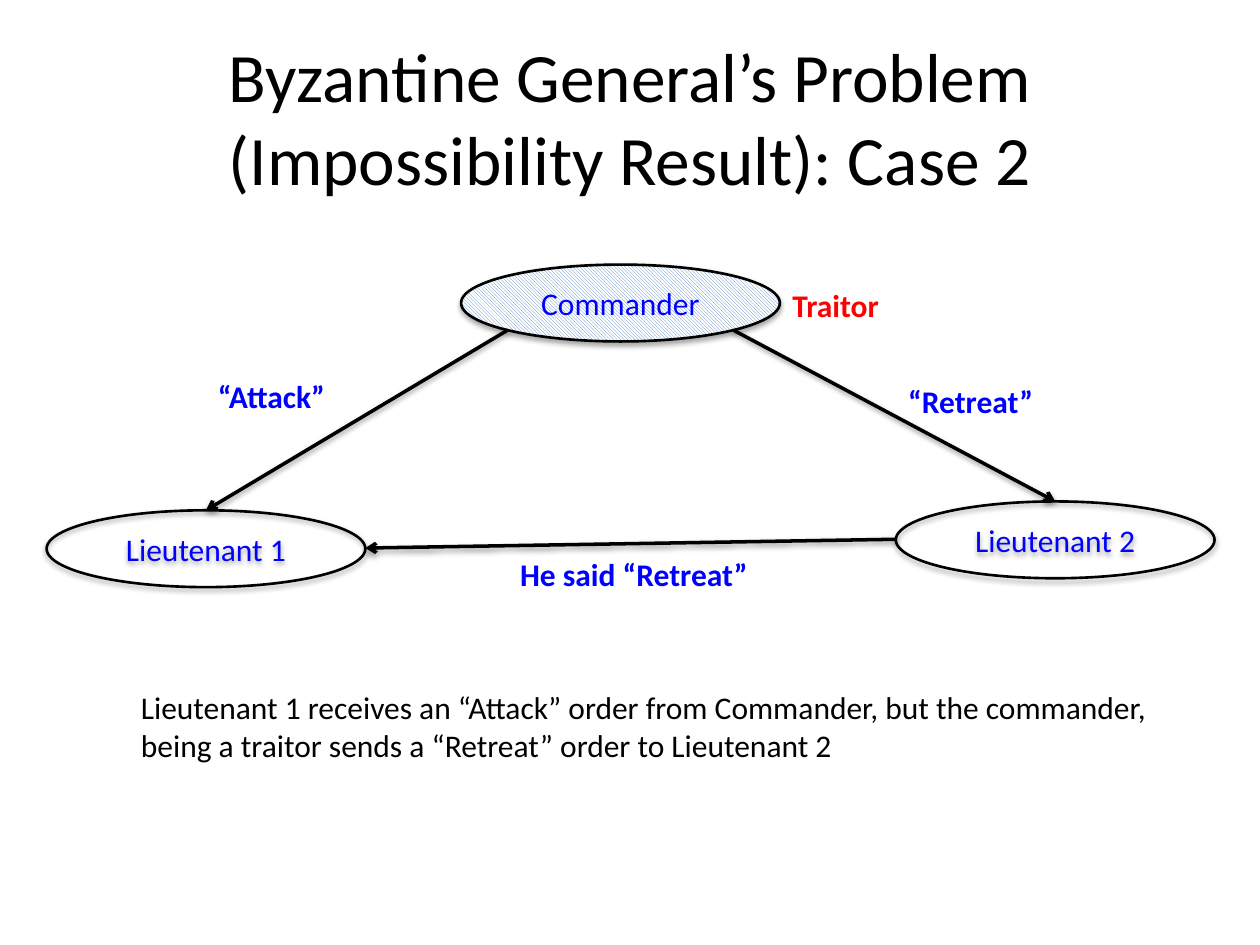
"""Build the Byzantine generals slide showing a traitorous commander."""
from dataclasses import dataclass
from typing import Any, Optional

import lxml.etree
import pptx
import pptx.dml.color
import pptx.enum.dml
import pptx.enum.shapes
import pptx.enum.text
import pptx.oxml.ns
import pptx.util

Inches = pptx.util.Inches
Pt = pptx.util.Pt
RGBColor = pptx.dml.color.RGBColor
Align = pptx.enum.text.PP_ALIGN
Anchor = pptx.enum.text.MSO_ANCHOR
qn = pptx.oxml.ns.qn

BLACK = RGBColor(0x00, 0x00, 0x00)
WHITE = RGBColor(0xFF, 0xFF, 0xFF)
BLUE = RGBColor(0x00, 0x00, 0xFF)
RED = RGBColor(0xFF, 0x00, 0x00)
HATCH = RGBColor(0x4F, 0x81, 0xBD)
FONT = "Calibri"
NODE_WIDTH, NODE_HEIGHT = 2.53, 0.61
TOP_SITE = 0


@dataclass
class Node:
    name: str
    left: float
    top: float
    hatched: bool = False


@dataclass
class Message:
    start: tuple[float, float]
    end: tuple[float, float]
    receiver: Optional[str] = None


@dataclass
class Label:
    text: str
    left: float
    top: float
    width: float
    height: float = 0.4
    color: RGBColor = BLUE
    bold: bool = True
    size: float = 18
    align: Align = Align.LEFT
    anchor: Anchor = Anchor.TOP
    wrap: bool = False


NODES = [
    Node("Commander", 3.66, 2.1, hatched=True),
    Node("Lieutenant 1", 0.37, 4.05),
    Node("Lieutenant 2", 7.11, 3.98),
]
MESSAGES = [
    Message((4.03, 2.62), (1.63, 4.05), "Lieutenant 1"),
    Message((5.82, 2.62), (8.37, 3.98), "Lieutenant 2"),
    Message((7.11, 4.28), (2.9, 4.35)),
]
LABELS = [
    Label("Byzantine General’s Problem\v(Impossibility Result): Case 2",
          0.5, 0.3, 9, 1.25, BLACK, False, 39.6, Align.CENTER, Anchor.MIDDLE, True),
    Label("Traitor", 6.19, 2.22, 0.92, color=RED),
    Label("“Retreat”", 7.11, 2.98, 1.21),
    Label("“Attack”", 1.63, 2.94, 1.09),
    Label("He said “Retreat”", 4.03, 4.36, 2.03),
    Label("Lieutenant 1 receives an “Attack” order from Commander, but the commander,\n"
          "being a traitor sends a “Retreat” order to Lieutenant 2",
          1.02, 5.41, 8.36, 0.71, BLACK, False),
]


def style_text(frame: Any, size: float, color: RGBColor, bold: bool, align: Align) -> None:
    """Format every run in a text frame."""
    for para in frame.paragraphs:
        para.alignment = align
        for span in para.runs:
            span.font.name = FONT
            span.font.size = Pt(size)
            span.font.bold = bold
            span.font.color.rgb = color


def add_shadow(properties: Any, opacity: int, distance: float) -> None:
    """Give a shape or connector a soft shadow straight below it."""
    effects = properties.find(qn("a:effectLst"))
    if effects is None:
        effects = lxml.etree.SubElement(properties, qn("a:effectLst"))
    shadow = lxml.etree.SubElement(
        effects, qn("a:outerShdw"), blurRad=str(Pt(3.1)), dist=str(Pt(distance)),
        dir="5400000", rotWithShape="0")
    color = lxml.etree.SubElement(shadow, qn("a:srgbClr"), val=str(BLACK))
    lxml.etree.SubElement(color, qn("a:alpha"), val=str(opacity * 1000))


def add_node(page: Any, node: Node) -> Any:
    """Draw one general as an ellipse."""
    oval = page.shapes.add_shape(
        pptx.enum.shapes.MSO_SHAPE.OVAL, Inches(node.left), Inches(node.top),
        Inches(NODE_WIDTH), Inches(NODE_HEIGHT))
    if node.hatched:
        oval.fill.patterned()
        oval.fill.pattern = pptx.enum.dml.MSO_PATTERN.LIGHT_DOWNWARD_DIAGONAL
        oval.fill.fore_color.rgb = HATCH
        oval.fill.back_color.rgb = WHITE
    else:
        oval.fill.background()
    oval.line.color.rgb = BLACK
    oval.line.width = Pt(1.5)
    oval.shadow.inherit = False
    add_shadow(oval.element.spPr, 35, 1.8)
    frame = oval.text_frame
    frame.text = node.name
    frame.vertical_anchor = Anchor.MIDDLE
    style_text(frame, 18, BLUE, False, Align.CENTER)
    return oval


def add_message(page: Any, message: Message, ovals: dict[str, Any]) -> None:
    """Draw one message as an arrow."""
    arrow = page.shapes.add_connector(
        pptx.enum.shapes.MSO_CONNECTOR.STRAIGHT,
        *(Inches(value) for value in message.start + message.end))
    if message.receiver:
        arrow.end_connect(ovals[message.receiver], TOP_SITE)
    arrow.line.color.rgb = BLACK
    arrow.line.width = Pt(2)
    lxml.etree.SubElement(arrow.line._get_or_add_ln(), qn("a:tailEnd"), type="arrow")
    add_shadow(arrow.element.spPr, 38, 1.6)


def add_label(page: Any, label: Label) -> None:
    """Place one text box."""
    box = page.shapes.add_textbox(
        Inches(label.left), Inches(label.top), Inches(label.width), Inches(label.height))
    frame = box.text_frame
    frame.text = label.text
    frame.word_wrap = label.wrap
    frame.vertical_anchor = label.anchor
    style_text(frame, label.size, label.color, label.bold, label.align)


def main() -> None:
    """Build and save the deck."""
    deck = pptx.Presentation()
    deck.slide_width, deck.slide_height = Inches(10), Inches(7.5)
    page = deck.slides.add_slide(deck.slide_layouts[6])
    ovals = {node.name: add_node(page, node) for node in NODES}
    for message in MESSAGES:
        add_message(page, message, ovals)
    for label in LABELS:
        add_label(page, label)
    deck.save("out.pptx")


if __name__ == "__main__":
    main()
